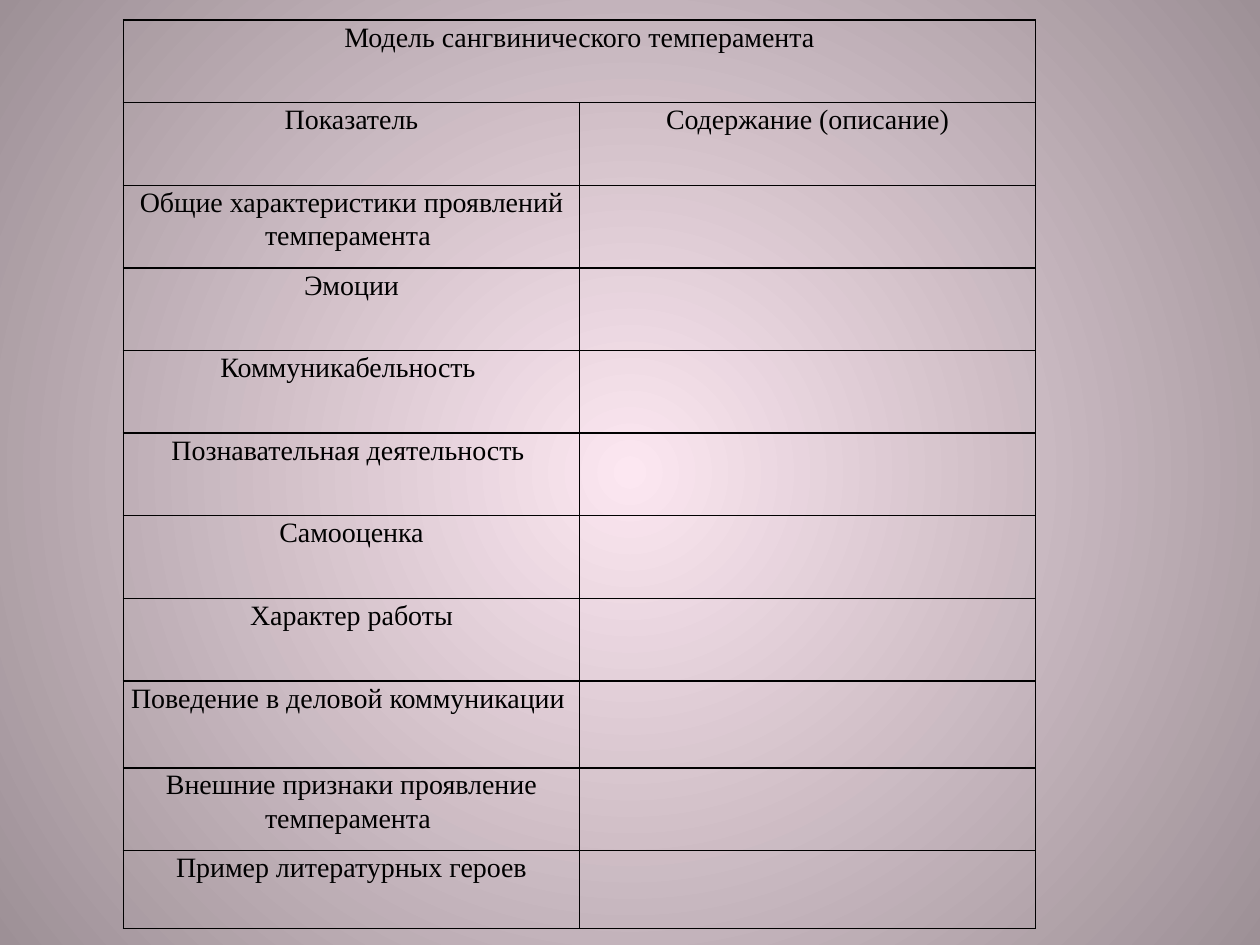
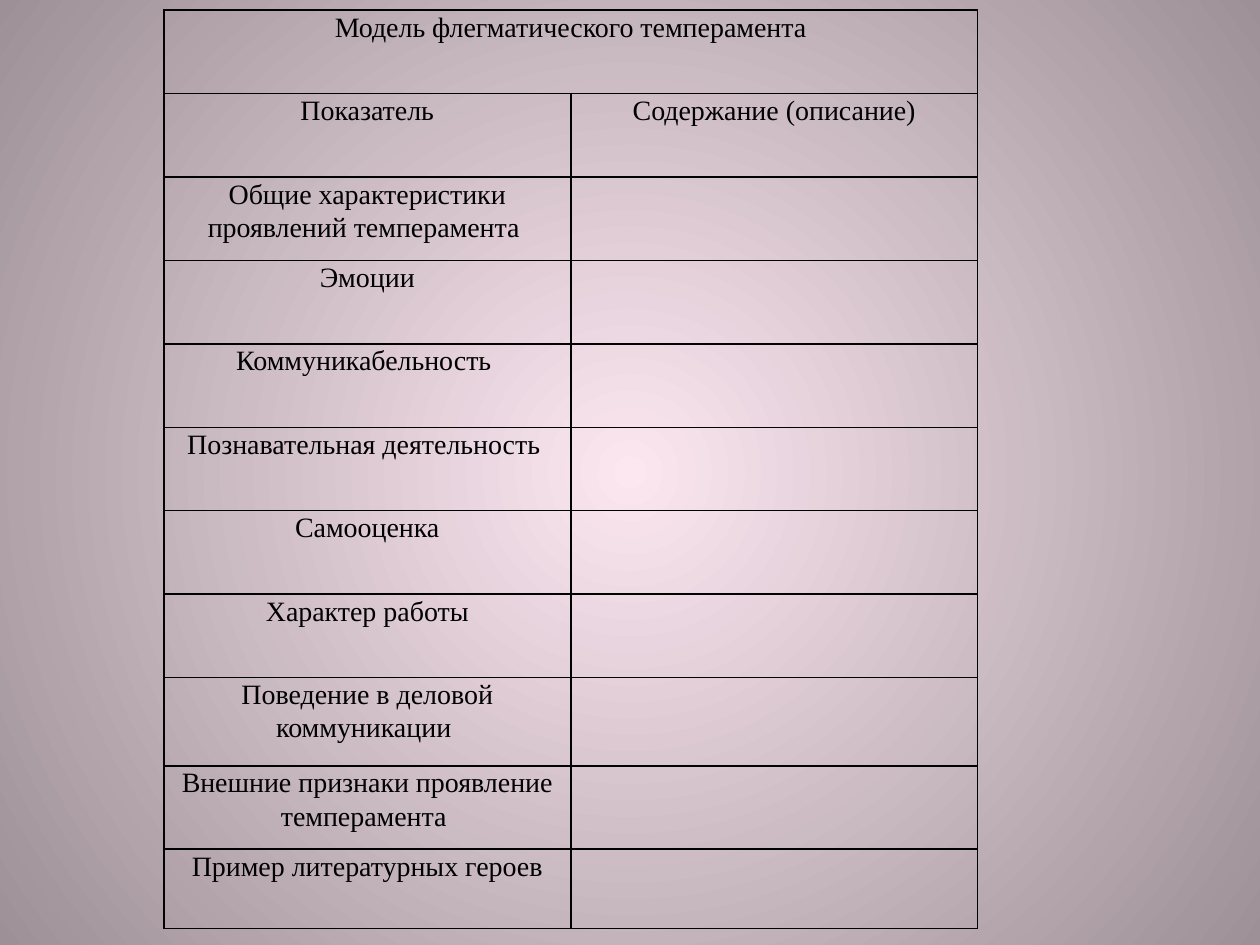
from lxml.etree import SubElement
from pptx import Presentation
from pptx.dml.color import RGBColor
from pptx.enum.text import PP_ALIGN as Align
from pptx.oxml.ns import qn
from pptx.util import Inches, Pt

PINK = RGBColor(0xFC, 0xE7, 0xF1)
MAUVE = RGBColor(0x9D, 0x90, 0x96)
BLACK = RGBColor(0, 0, 0)
FONT = "Times New Roman"
BLANK_LAYOUT = 6
HEADINGS = ["Показатель", "Содержание (описание)"]
INDICATORS = [
    "Общие характеристики проявлений темперамента ",
    "Эмоции",
    "Коммуникабельность ",
    "Познавательная деятельность ",
    "Самооценка",
    "Характер работы",
    "Поведение в деловой коммуникации ",
    "Внешние признаки проявление темперамента ",
    "Пример литературных героев",
]
BEHAVIOUR_ROW, HEROES_ROW = 8, 10
MODELS = [
    ("Модель сангвинического темперамента", 0.98, 0.16, 7.24, 7.21, 0.69, 0.62),
    ("Модель флегматического темперамента", 1.3, 0.08, 6.46, 7.29, 0.7, 0.63),
]


def write(cell, text, size=16, font=FONT, color=BLACK, align=Align.CENTER, spacing=1.07):
    para = cell.text_frame.paragraphs[0]
    para.alignment = align
    para.line_spacing = spacing
    span = para.add_run()
    span.text = text
    span.font.size = Pt(size)
    span.font.name = font
    span.font.color.rgb = color


def outline(cell, color=BLACK, width=1):
    properties = cell._tc.get_or_add_tcPr()
    for position, side in enumerate(["a:lnL", "a:lnR", "a:lnT", "a:lnB"]):
        line = SubElement(properties, qn(side), w=str(Pt(width)))
        properties.insert(position, line)
        fill = SubElement(line, qn("a:solidFill"))
        SubElement(fill, qn("a:srgbClr"), val=str(color))


deck = Presentation()
deck.slide_width = Inches(10)
deck.slide_height = Inches(7.5)

backdrop = deck.slide_master.background.fill
backdrop.gradient()
for stop, color, position in zip(backdrop.gradient_stops, [PINK, MAUVE], [0, 1]):
    stop.color.rgb = color
    stop.position = position
gradient = deck.slide_master.element.find(".//" + qn("a:gradFill"))
gradient.remove(gradient.find(qn("a:lin")))
circle = SubElement(gradient, qn("a:path"), path="circle")
SubElement(circle, qn("a:fillToRect"), l="50000", t="50000", r="50000", b="50000")

for title, left, top, width, height, behaviour_height, heroes_height in MODELS:
    page = deck.slides.add_slide(deck.slide_layouts[BLANK_LAYOUT])
    rows = [[title], HEADINGS] + [[indicator] for indicator in INDICATORS]
    table = page.shapes.add_table(
        len(rows), 2, Inches(left), Inches(top), Inches(width), Inches(height)
    ).table
    table.first_row = False
    table.horz_banding = False

    plain_height = (height - behaviour_height - heroes_height) / (len(rows) - 2)
    for row in table.rows:
        row.height = Inches(plain_height)
    table.rows[BEHAVIOUR_ROW].height = Inches(behaviour_height)
    table.rows[HEROES_ROW].height = Inches(heroes_height)

    for cell in table.iter_cells():
        cell.margin_left = cell.margin_right = Inches(0.04)
        cell.margin_top = cell.margin_bottom = 0
        cell.fill.background()
        outline(cell)
    table.cell(0, 0).merge(table.cell(0, 1))
    for row_number, texts in enumerate(rows):
        for column_number, text in enumerate(texts):
            write(table.cell(row_number, column_number), text)

deck.save("out.pptx")
